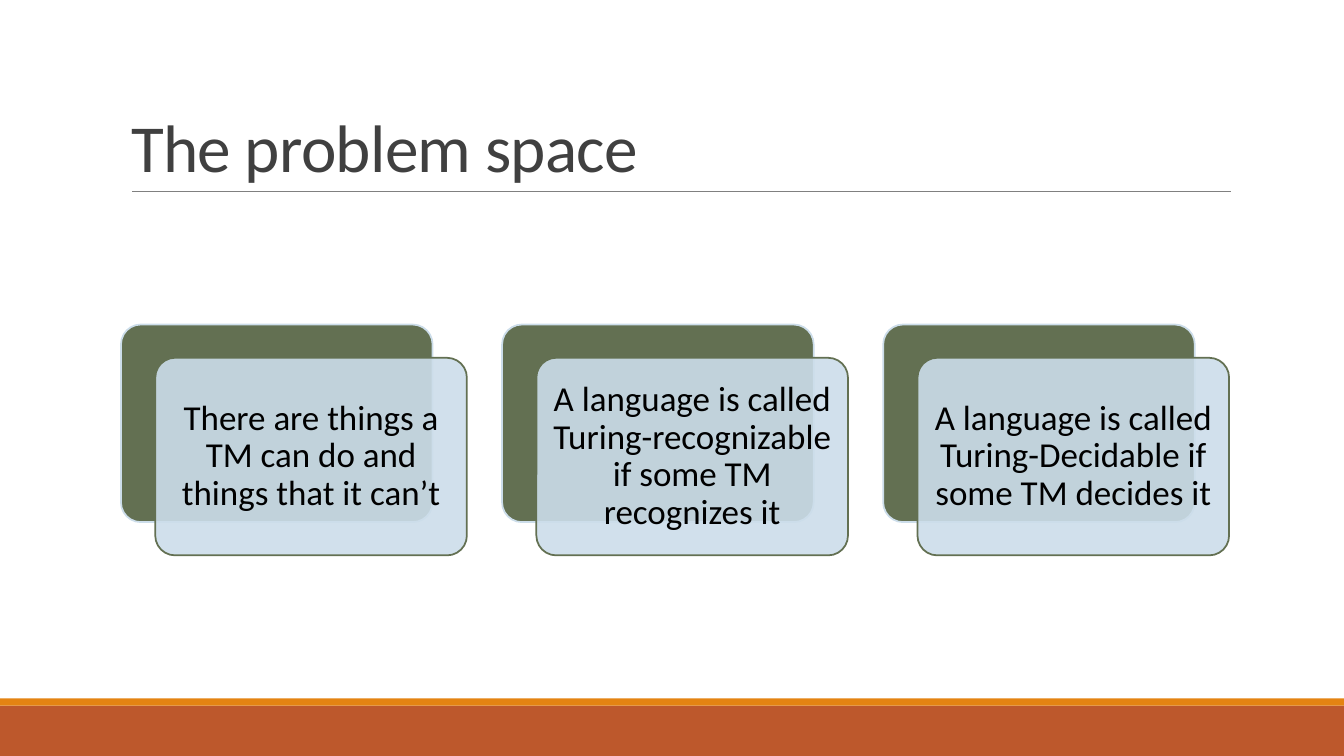
from dataclasses import dataclass

from lxml import etree
from pptx import Presentation
from pptx import util as u
from pptx.dml.color import RGBColor
from pptx.enum import shapes, text
from pptx.oxml.ns import qn


@dataclass(frozen=True)
class Theme:
    font: str = "Calibri"
    title_size: float = 48
    card_size: float = 25
    title: str = "404040"
    ink: str = "000000"
    rule: str = "808080"
    green: str = "637052"
    pale: str = "CCDDEA"
    rust: str = "BD582C"
    orange: str = "E48312"


THEME = Theme()
CARDS = [
    "There are things a TM can do and things that it can’t",
    "A language is called Turing-recognizable if some TM recognizes it",
    "A language is called Turing-Decidable if some TM decides it",
]
LEFT, TOP, PITCH = 1.2, 3.22, 3.78
WIDTH, HEIGHT = 3.09, 1.96
SHIFT_X, SHIFT_Y = 0.34, 0.33


def rgb(code):
    return RGBColor.from_string(code)


def add_box(slide, kind, box, fill, line=None):
    shape = slide.shapes.add_shape(kind, *map(u.Inches, box))
    shape.shadow.inherit = False
    shape.fill.solid()
    shape.fill.fore_color.rgb = rgb(fill)
    if line:
        shape.line.color.rgb = rgb(line)
        shape.line.width = u.Pt(1.25)
    else:
        shape.line.fill.background()
    return shape


def add_panel(slide, left, top, fill, line):
    panel = add_box(slide, shapes.MSO_SHAPE.ROUNDED_RECTANGLE,
                    (left, top, WIDTH, HEIGHT), fill, line)
    panel.adjustments[0] = 0.1
    return panel


def set_alpha(shape, percent):
    color = shape.fill._xPr.find(qn("a:solidFill"))[0]
    etree.SubElement(color, qn("a:alpha"), val=str(percent * 1000))


def style(para, size, color, align, spacing):
    para.font.name = THEME.font
    para.font.size = u.Pt(size)
    para.font.color.rgb = rgb(color)
    para.alignment = align
    para.line_spacing = spacing


def add_card(slide, left, words):
    """Add a green panel with a translucent text panel shifted over it."""
    add_panel(slide, left, TOP, THEME.green, THEME.pale)
    front = add_panel(slide, left + SHIFT_X, TOP + SHIFT_Y,
                      THEME.pale, THEME.green)
    set_alpha(front, 90)
    frame = front.text_frame
    frame.word_wrap = True
    frame.vertical_anchor = text.MSO_ANCHOR.MIDDLE
    frame.margin_left = frame.margin_right = u.Inches(0.1)
    frame.margin_top = frame.margin_bottom = u.Inches(0.1)
    frame.text = words
    style(frame.paragraphs[0], THEME.card_size, THEME.ink,
          text.PP_ALIGN.CENTER, 0.9)


def set_title(slide, words):
    title = slide.shapes.title
    title.left, title.top = u.Inches(1.2), u.Inches(0.31)
    title.width, title.height = u.Inches(11), u.Inches(1.59)
    frame = title.text_frame
    frame.text = words
    frame.auto_size = text.MSO_AUTO_SIZE.NONE
    frame.vertical_anchor = text.MSO_ANCHOR.BOTTOM
    para = frame.paragraphs[0]
    style(para, THEME.title_size, THEME.title, text.PP_ALIGN.LEFT, 0.85)
    para.runs[0]._r.get_or_add_rPr().set("spc", "-50")


def add_rule(slide, left, right, top):
    rule = slide.shapes.add_connector(
        shapes.MSO_CONNECTOR.STRAIGHT,
        *map(u.Inches, (left, top, right, top)))
    rule.line.color.rgb = rgb(THEME.rule)
    rule.line.width = u.Pt(0.5)
    etree.SubElement(rule._element.spPr, qn("a:effectLst"))


def main():
    deck = Presentation()
    deck.slide_width, deck.slide_height = u.Inches(13.33), u.Inches(7.5)
    slide = deck.slides.add_slide(deck.slide_layouts[5])
    rect = shapes.MSO_SHAPE.RECTANGLE
    add_box(slide, rect, (0, 7, 13.33, 0.5), THEME.rust)
    add_box(slide, rect, (0, 6.93, 13.33, 0.07), THEME.orange)
    add_rule(slide, 1.31, 12.21, 1.9)
    set_title(slide, "The problem space")
    for index, words in enumerate(CARDS):
        add_card(slide, LEFT + index * PITCH, words)
    deck.save("out.pptx")


if __name__ == "__main__":
    main()
